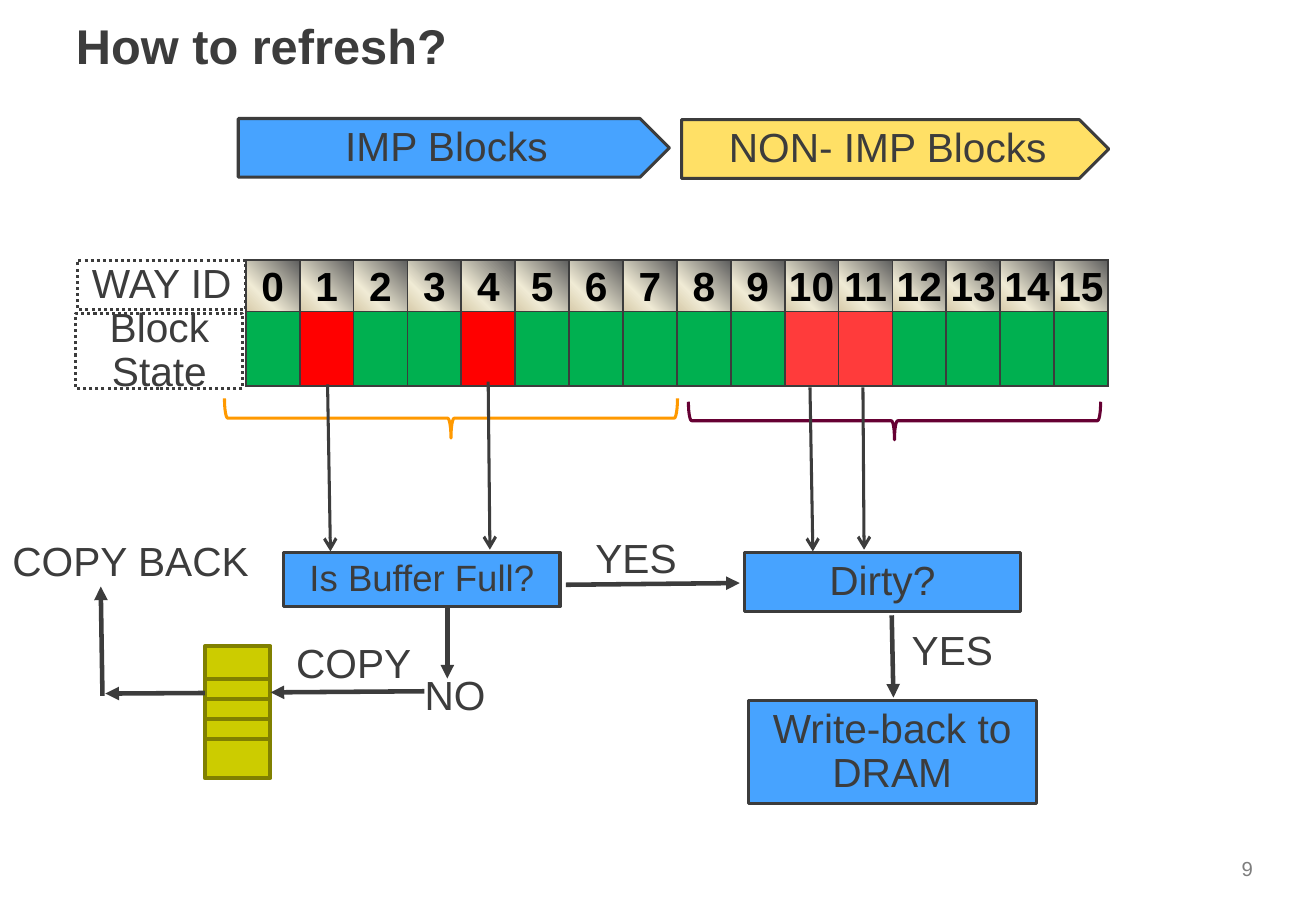
import pptx
import pptx.dml.color
import pptx.enum.dml
import pptx.enum.shapes
import pptx.enum.text
import pptx.oxml
import pptx.oxml.ns
import pptx.util
import lxml.etree

Cm, Pt = pptx.util.Cm, pptx.util.Pt
MSO_SHAPE = pptx.enum.shapes.MSO_SHAPE
ALIGN = pptx.enum.text.PP_ALIGN
ANCHOR = pptx.enum.text.MSO_ANCHOR
NS = pptx.oxml.ns.nsdecls("a")
INK, BLUE, YELLOW, WHITE = "3C3C3C", "47A3FF", "FFE066", "FFFFFF"
GREEN, RED, LIGHT_RED = "00B050", "FF0000", "FF3B3B"


def color(hex_value):
    return pptx.dml.color.RGBColor.from_string(hex_value)


def write(frame, text, size=20, bold=False, ink=INK, align=ALIGN.CENTER,
          anchor=ANCHOR.MIDDLE, wrap=True, margins=(0, 0), spacing=0.9):
    frame.word_wrap = wrap
    frame.vertical_anchor = anchor
    frame.margin_left = frame.margin_right = Cm(margins[0])
    frame.margin_top = frame.margin_bottom = Cm(margins[1])
    for index, line in enumerate(text.split("\n")):
        paragraph = frame.paragraphs[0] if index == 0 else frame.add_paragraph()
        paragraph.alignment = align
        paragraph.line_spacing = spacing
        run = paragraph.add_run()
        run.text = line
        run.font.name = "Arial"
        run.font.size = Pt(size)
        run.font.bold = bold
        run.font.color.rgb = color(ink)


deck = pptx.Presentation()
deck.slide_width, deck.slide_height = Cm(22.86), Cm(15.88)
slide = deck.slides.add_slide(deck.slide_layouts[6])
shapes = slide.shapes

# Title, page number and flow labels
label = dict(anchor=ANCHOR.TOP, wrap=False)
heading = dict(align=ALIGN.LEFT, margins=(0.18, 0.1))
for text, x, y, w, h, style in [
    ("How to refresh?", 1.14, 0.3, 20.57, 1.09, dict(heading, size=24, bold=True)),
    ("9", 21.39, 14.81, 1.12, 0.58,
     dict(heading, size=10, ink="7D7D7D", anchor=ANCHOR.TOP, spacing=0.95)),
    ("YES", 10.34, 9.35, 1.42, 0.76, label),
    ("YES", 15.21, 10.95, 2.67, 0.76, label),
    ("NO", 7.37, 11.73, 1.07, 0.76, label),
    ("COPY", 5.13, 11.18, 2.03, 0.76, label),
    ("COPY BACK", 0.2, 9.4, 4.14, 0.76, label),
]:
    box = shapes.add_textbox(Cm(x), Cm(y), Cm(w), Cm(h))
    write(box.text_frame, text, **style)

# Row headers, block groups, flow steps and the buffer
header = dict(wrap=False)
step = dict(margins=(0.25, 0.13))
for text, kind, x, y, w, h, fill, line, width, style in [
    ("Block\nState", MSO_SHAPE.RECTANGLE, 1.32, 5.44, 2.9, 1.32, WHITE, INK, 1.5, header),
    ("WAY ID", MSO_SHAPE.RECTANGLE, 1.35, 4.52, 2.92, 0.86, WHITE, INK, 1.5, header),
    ("IMP Blocks", MSO_SHAPE.PENTAGON, 4.14, 2.06, 7.49, 1.02, BLUE, INK, 1.5, step),
    ("NON- IMP Blocks", MSO_SHAPE.PENTAGON, 11.84, 2.08, 7.42, 1.02, YELLOW, INK, 1.5, step),
    ("Is Buffer Full?", MSO_SHAPE.RECTANGLE, 4.93, 9.6, 4.8, 0.94, BLUE, INK, 1.5,
     dict(step, size=18)),
    ("Dirty?", MSO_SHAPE.RECTANGLE, 12.93, 9.6, 4.8, 1.02, BLUE, INK, 1.5, step),
    ("Write-back to DRAM", MSO_SHAPE.RECTANGLE, 13, 12.17, 5, 1.8, BLUE, INK, 1.5, step),
    ("", MSO_SHAPE.RECTANGLE, 3.56, 11.23, 1.14, 2.29, "CCCC00", "808000", 2, step),
]:
    block = shapes.add_shape(kind, Cm(x), Cm(y), Cm(w), Cm(h))
    block.shadow.inherit = False
    block.fill.solid()
    block.fill.fore_color.rgb = color(fill)
    block.line.color.rgb = color(line)
    block.line.width = Pt(width)
    if style is header:
        block.line.dash_style = pptx.enum.dml.MSO_LINE.ROUND_DOT
    if text:
        write(block.text_frame, text, **style)

# Way ids above block states
ways = 16
expired = {1: RED, 4: RED, 10: LIGHT_RED, 11: LIGHT_RED}
gradient = (
    f'<a:gradFill {NS} rotWithShape="1"><a:gsLst>'
    '<a:gs pos="0"><a:srgbClr val="5E5E5E"/></a:gs>'
    '<a:gs pos="65000"><a:srgbClr val="F0EBD5"/></a:gs>'
    '<a:gs pos="100000"><a:srgbClr val="D1C39F"/></a:gs></a:gsLst>'
    '<a:path path="circle"><a:fillToRect l="100000" b="100000"/></a:path></a:gradFill>'
)
for part, y, h in [("way ids", 4.52, 1.02), ("states", 5.41, 1.3)]:
    row = shapes.add_table(1, ways, Cm(4.27), Cm(y), Cm(14.99), Cm(h)).table
    row.first_row = row.horz_banding = False
    for way in range(ways):
        cell = row.cell(0, way)
        properties = cell._tc.get_or_add_tcPr()
        for side in ("lnL", "lnR", "lnT", "lnB"):
            properties.append(pptx.oxml.parse_xml(
                f'<a:{side} {NS} w="12700"><a:solidFill><a:srgbClr val="{INK}"/>'
                f'</a:solidFill></a:{side}>'))
        if part == "way ids":
            properties.append(pptx.oxml.parse_xml(gradient))
            write(cell.text_frame, str(way), bold=True, ink="000000")
            cell.vertical_anchor = ANCHOR.MIDDLE
            cell.margin_left = cell.margin_right = 0
            cell.margin_top = cell.margin_bottom = 0
        else:
            cell.fill.solid()
            cell.fill.fore_color.rgb = color(expired.get(way, GREEN))

# Braces under the two groups
for x, y, w, h, line in [(7.49, 3.33, 0.69, 7.87, "FF9900"),
                         (15.21, 3.73, 0.66, 7.16, "660033")]:
    brace = shapes.add_shape(MSO_SHAPE.LEFT_BRACE, Cm(x), Cm(y), Cm(w), Cm(h))
    brace.rotation = 270
    brace.shadow.inherit = False
    brace.fill.background()
    brace.line.color.rgb = color(line)
    brace.line.width = Pt(1.5)

# Arrows and buffer dividers
from_block = (INK, 1.5, "arrow")
flow = (INK, 2.25, "triangle")
divider = ("808000", 2, None)
links = [
    (5.69, 6.68, 5.74, 9.58, from_block),
    (8.48, 6.63, 8.51, 9.55, from_block),
    (14.07, 6.73, 14.12, 9.58, from_block),
    (14.99, 6.73, 15.01, 9.55, from_block),
    (9.83, 10.16, 12.85, 10.13, flow),
    (15.49, 10.69, 15.52, 12.12, flow),
    (7.37, 12.01, 4.7, 12.03, flow),
    (7.77, 10.52, 7.77, 11.79, flow),
    (1.78, 12.09, 1.75, 10.19, flow),
    (3.56, 12.04, 1.83, 12.05, flow),
]
for slot in range(4):
    y = 11.79 + 0.35 * slot
    links.append((4.7, y, 3.56, y, divider))
for x1, y1, x2, y2, (line, width, tip) in links:
    link = shapes.add_connector(pptx.enum.shapes.MSO_CONNECTOR.STRAIGHT,
                                Cm(x1), Cm(y1), Cm(x2), Cm(y2))
    link.line.color.rgb = color(line)
    link.line.width = Pt(width)
    if tip:
        lxml.etree.SubElement(link.line._get_or_add_ln(),
                              pptx.oxml.ns.qn("a:tailEnd"), type=tip)
    lxml.etree.SubElement(link._element.spPr, pptx.oxml.ns.qn("a:effectLst"))

deck.save("out.pptx")
